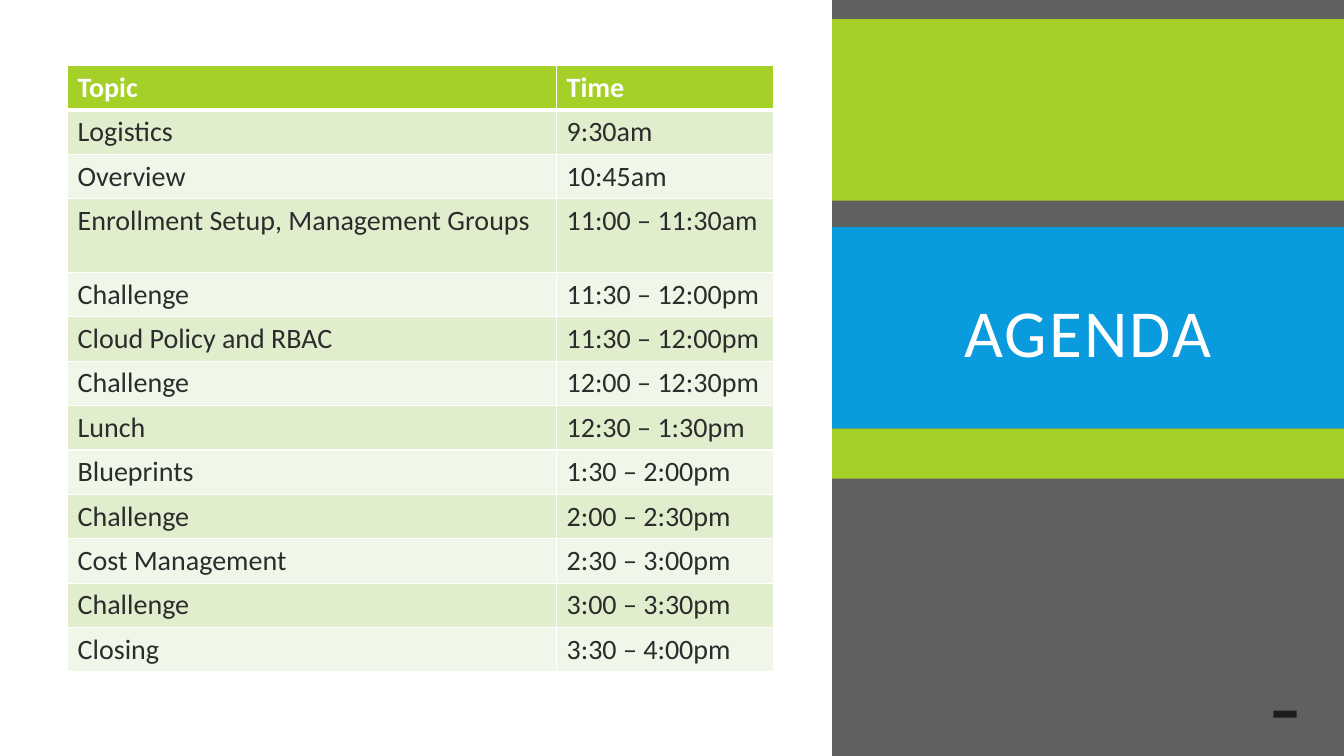
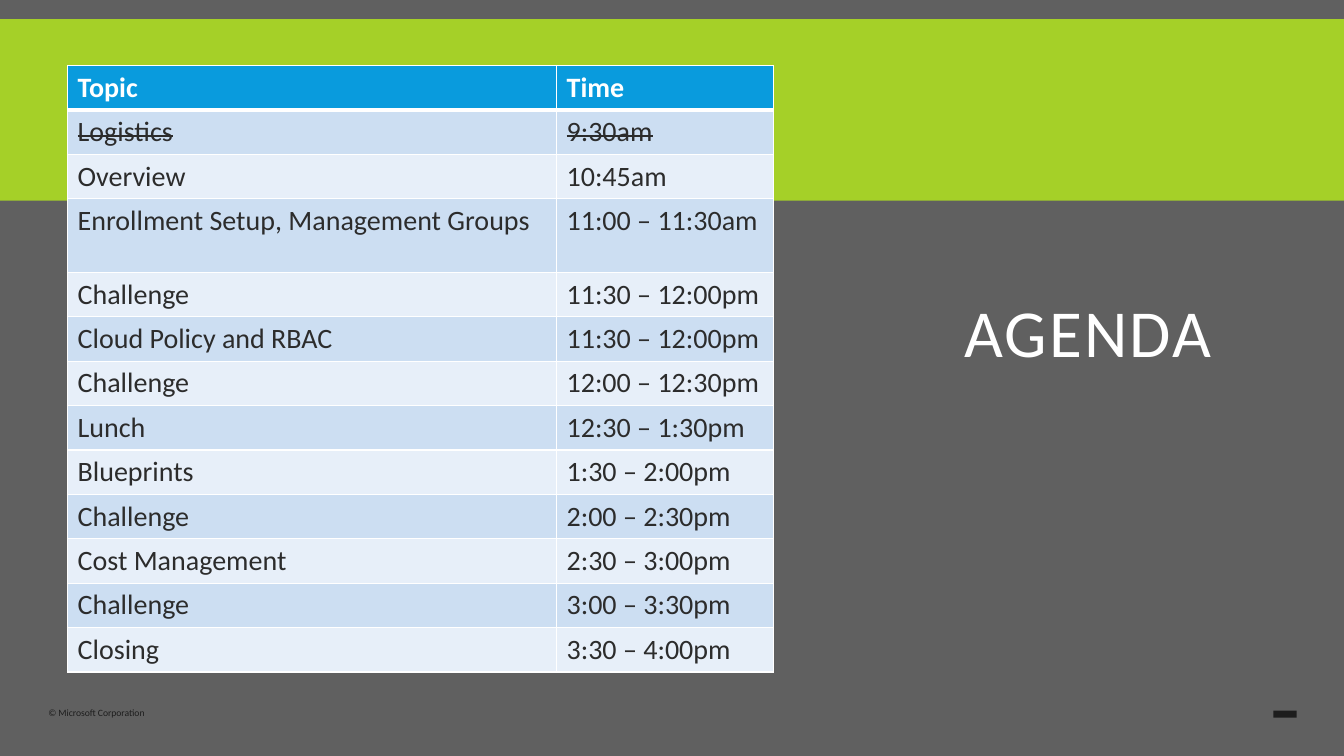
"""Build two agenda slides that share a backdrop, a title and a timetable."""
import pptx
import pptx.dml.color
import pptx.enum.shapes
import pptx.enum.text
import pptx.oxml
import pptx.oxml.ns
import pptx.util

Inches = pptx.util.Inches
Pt = pptx.util.Pt

COLORS = {
    "backdrop": "606060",
    "green": "A5D028",
    "blue": "099BDD",
    "white": "FFFFFF",
    "ink": "2C2C2C",
    "footer": "1D1D1D",
    "green_dark_row": "E1EECD",
    "green_light_row": "F0F7E8",
    "blue_dark_row": "CCDEF2",
    "blue_light_row": "E7EFF9",
}
FONT = "Calibri"
SLIDE_WIDTH, SLIDE_HEIGHT = 13.33, 7.5
TITLE = "AGENDA"
TITLE_BOX = (8.6, 2.4, 4.38, 1.9)
TOP_BAND = (0, 0.19, SLIDE_WIDTH, 1.8, "green")
FOOTER_MARK = (12.63, 7.05, 0.23, 0.07, "footer")
COPYRIGHT = "© Microsoft Corporation"
COPYRIGHT_BOX = (0.48, 7.03, 1.03, 0.1)
TABLE_LEFT, TABLE_TOP = 0.67, 0.65
COLUMN_WIDTHS = (4.85, 2.15)
ROW_HEIGHT, TALL_ROW_HEIGHT = 0.44, 0.73
TALL_ROW = 3

AGENDA = [
    ("Topic", "Time"),
    ("Logistics", "9:30am"),
    ("Overview", "10:45am"),
    ("Enrollment Setup, Management Groups", "11:00 – 11:30am"),
    ("Challenge", "11:30 – 12:00pm"),
    ("Cloud Policy and RBAC", "11:30 – 12:00pm"),
    ("Challenge", "12:00 – 12:30pm"),
    ("Lunch", "12:30 – 1:30pm"),
    ("Blueprints", "1:30 – 2:00pm"),
    ("Challenge", "2:00 – 2:30pm"),
    ("Cost Management", "2:30 – 3:00pm"),
    ("Challenge", "3:00 – 3:30pm"),
    ("Closing", "3:30 – 4:00pm"),
]

SLIDES = [
    {
        "accent": "green",
        "done_rows": (),
        "copyright": False,
        "bands": [
            (0, 4.25, SLIDE_WIDTH, 0.5, "green"),
            (0, 2.25, SLIDE_WIDTH, 2, "blue"),
            (0, 0, 8.25, SLIDE_HEIGHT, "white"),
        ],
    },
    {"accent": "blue", "done_rows": (1,), "copyright": True, "bands": []},
]


def rgb(name):
    """Return the named colour."""
    return pptx.dml.color.RGBColor.from_string(COLORS[name])


def write_text(text_frame, text, size=20, color="ink", bold=False, strike=False,
               tracking=None, align=None, line_spacing=None):
    """Write one formatted paragraph into a text frame."""
    paragraph = text_frame.paragraphs[0]
    paragraph.alignment = align
    paragraph.line_spacing = line_spacing
    run = paragraph.add_run()
    run.text = text
    run.font.name = FONT
    run.font.size = Pt(size)
    run.font.bold = bold
    run.font.color.rgb = rgb(color)
    properties = run._r.get_or_add_rPr()
    if strike:
        properties.set("strike", "sngStrike")
    if tracking:
        properties.set("spc", str(int(tracking * 100)))


def add_band(slide, left, top, width, height, color):
    """Add a plain filled rectangle."""
    shape = slide.shapes.add_shape(
        pptx.enum.shapes.MSO_SHAPE.RECTANGLE,
        Inches(left), Inches(top), Inches(width), Inches(height))
    shape.shadow.inherit = False
    shape.fill.solid()
    shape.fill.fore_color.rgb = rgb(color)
    shape.line.fill.background()


def place_title(slide):
    """Format the title placeholder and bring it to the front."""
    title = slide.shapes.title
    title.left, title.top, title.width, title.height = map(Inches, TITLE_BOX)
    text_frame = title.text_frame
    text_frame.word_wrap = True
    text_frame.auto_size = pptx.enum.text.MSO_AUTO_SIZE.NONE
    text_frame.vertical_anchor = pptx.enum.text.MSO_ANCHOR.MIDDLE
    write_text(text_frame, TITLE, size=48, color="white", tracking=1.5,
               align=pptx.enum.text.PP_ALIGN.CENTER, line_spacing=0.8)
    slide.shapes._spTree.append(title._element)


def add_copyright(slide):
    """Add the copyright line at the bottom left."""
    text_frame = slide.shapes.add_textbox(*map(Inches, COPYRIGHT_BOX)).text_frame
    text_frame.margin_left = text_frame.margin_right = 0
    text_frame.margin_top = text_frame.margin_bottom = 0
    text_frame.word_wrap = False
    write_text(text_frame, COPYRIGHT, size=6.9, color="footer", line_spacing=0.9)


def set_borders(cell, top, bottom):
    """Draw white cell borders, with top and bottom widths in points."""
    properties = cell._tc.get_or_add_tcPr()
    for side, width in (("L", 1), ("R", 1), ("T", top), ("B", bottom)):
        properties.append(pptx.oxml.parse_xml(
            f'<a:ln{side} {pptx.oxml.ns.nsdecls("a")} w="{Pt(width)}">'
            f'<a:solidFill><a:srgbClr val="{COLORS["white"]}"/></a:solidFill>'
            f'</a:ln{side}>'))


def add_agenda(slide, accent, done_rows):
    """Add the timetable, striking through the rows already done."""
    heights = [TALL_ROW_HEIGHT if row == TALL_ROW else ROW_HEIGHT
               for row in range(len(AGENDA))]
    table = slide.shapes.add_table(
        len(AGENDA), len(COLUMN_WIDTHS), Inches(TABLE_LEFT), Inches(TABLE_TOP),
        Inches(sum(COLUMN_WIDTHS)), Inches(sum(heights))).table
    table.horz_banding = False
    for column, width in zip(table.columns, COLUMN_WIDTHS):
        column.width = Inches(width)
    for row, (entry, height) in enumerate(zip(AGENDA, heights)):
        table.rows[row].height = Inches(height)
        header = row == 0
        shade = "dark" if row % 2 else "light"
        fill = accent if header else f"{accent}_{shade}_row"
        for column, text in enumerate(entry):
            cell = table.cell(row, column)
            set_borders(cell, top=3 if row == 1 else 1, bottom=3 if header else 1)
            cell.fill.solid()
            cell.fill.fore_color.rgb = rgb(fill)
            write_text(cell.text_frame, text, color="white" if header else "ink",
                       bold=header, strike=row in done_rows)


def main():
    """Build and save the presentation."""
    presentation = pptx.Presentation()
    presentation.slide_width = Inches(SLIDE_WIDTH)
    presentation.slide_height = Inches(SLIDE_HEIGHT)
    background = presentation.slide_master.background.fill
    background.solid()
    background.fore_color.rgb = rgb("backdrop")
    title_only = presentation.slide_layouts.get_by_name("Title Only")
    for content in SLIDES:
        slide = presentation.slides.add_slide(title_only)
        for band in [TOP_BAND, FOOTER_MARK, *content["bands"]]:
            add_band(slide, *band)
        if content["copyright"]:
            add_copyright(slide)
        place_title(slide)
        add_agenda(slide, content["accent"], content["done_rows"])
    presentation.save("out.pptx")


if __name__ == "__main__":
    main()
